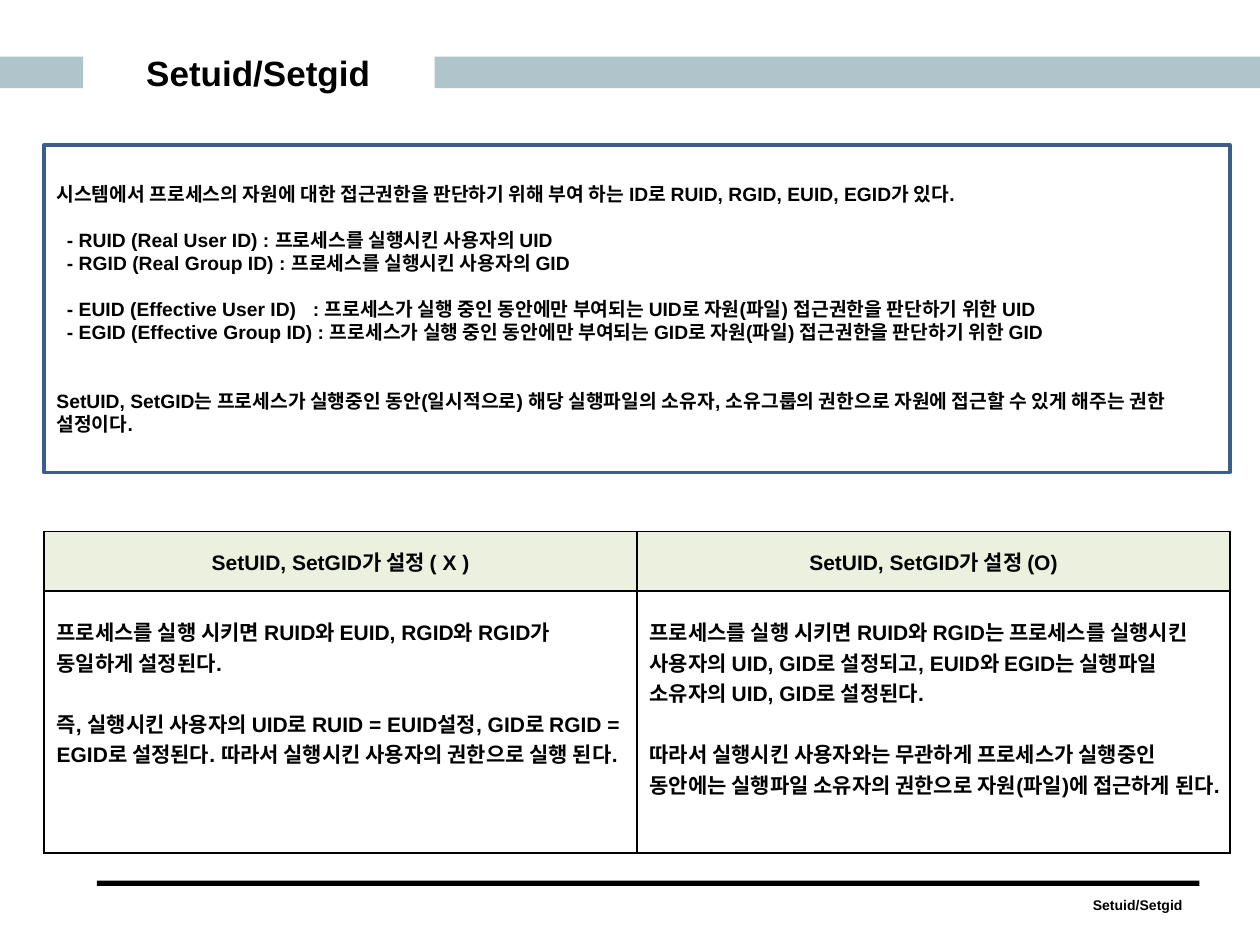
from lxml import etree
from pptx import Presentation
from pptx.dml.color import RGBColor
from pptx.enum.shapes import MSO_SHAPE
from pptx.enum.text import MSO_ANCHOR, PP_ALIGN
from pptx.oxml.ns import qn
from pptx.util import Pt

TITLE = "Setuid/Setgid"
BLACK, BAND, FRAME, HEADER = "000000", "AFC5CB", "3A5F8C", "EBF1DE"
DEFINITIONS = [
    ("시스템에서 프로세스의 자원에 대한 접근권한을 판단하기 위해 부여 하는 ID로 RUID, RGID, EUID, EGID가 있다.", 0, 0),
    ("- RUID (Real User ID) : 프로세스를 실행시킨 사용자의 UID", 6, 13),
    ("- RGID (Real Group ID) : 프로세스를 실행시킨 사용자의 GID", 6, 0),
    ("- EUID (Effective User ID)\t: 프로세스가 실행 중인 동안에만 부여되는 UID로 자원(파일) 접근권한을 판단하기 위한 UID", 6, 13),
    ("- EGID (Effective Group ID) : 프로세스가 실행 중인 동안에만 부여되는 GID로 자원(파일) 접근권한을 판단하기 위한 GID", 6, 0),
    ("SetUID, SetGID는 프로세스가 실행중인 동안(일시적으로) 해당 실행파일의 소유자, 소유그룹의 권한으로 자원에 접근할 수 있게 해주는 권한 설정이다.", 0, 26),
]
COMPARISON = [
    ("SetUID, SetGID가 설정 ( X )", [
        "프로세스를 실행 시키면 RUID와 EUID, RGID와 RGID가 동일하게 설정된다.",
        "즉, 실행시킨 사용자의 UID로 RUID = EUID설정, GID로 RGID = EGID로 설정된다. 따라서 실행시킨 사용자의 권한으로 실행 된다."]),
    ("SetUID, SetGID가 설정 (O)", [
        "프로세스를 실행 시키면 RUID와 RGID는 프로세스를 실행시킨 사용자의 UID, GID로 설정되고, EUID와 EGID는 실행파일 소유자의 UID, GID로 설정된다.",
        "따라서 실행시킨 사용자와는 무관하게 프로세스가 실행중인 동안에는 실행파일 소유자의 권한으로 자원(파일)에 접근하게 된다."]),
]


def color(hex_value):
    """Turn a hex string into a colour."""
    return RGBColor.from_string(hex_value)


def write(frame, items, size, align=PP_ALIGN.LEFT):
    """Write (text, indent, space before) items as bold paragraphs."""
    for i, (text, indent, before) in enumerate(items):
        p = frame.add_paragraph() if i else frame.paragraphs[0]
        p.alignment, p.space_before = align, Pt(before)
        props = p._p.get_or_add_pPr()
        props.set("marL", str(Pt(indent)))
        if "\t" in text:
            tabs = etree.SubElement(props, qn("a:tabLst"))
            etree.SubElement(tabs, qn("a:tab"), pos=str(Pt(140.5)), algn="l")
        run = p.add_run()
        run.text = text
        font = run.font
        font.name, font.size, font.bold = "Arial", Pt(size), True
        font.color.rgb = color(BLACK)


def add_rect(slide, box, fill=None, line=None):
    """Add a plain rectangle with an optional fill and outline."""
    rect = slide.shapes.add_shape(MSO_SHAPE.RECTANGLE, *map(Pt, box))
    rect.shadow.inherit = False
    if fill:
        rect.fill.solid()
        rect.fill.fore_color.rgb = color(fill)
    else:
        rect.fill.background()
    if line:
        rect.line.color.rgb, rect.line.width = color(line), Pt(2)
    else:
        rect.line.fill.background()
    return rect


def add_label(slide, box, size):
    """Add the centred topic name."""
    frame = slide.shapes.add_textbox(*map(Pt, box)).text_frame
    frame.word_wrap = False
    frame.vertical_anchor = MSO_ANCHOR.MIDDLE
    write(frame, [(TITLE, 0, 0)], size, PP_ALIGN.CENTER)


def add_heading(slide, x, y, w, h):
    """Place the title in the gap of the coloured band."""
    gap_left, gap_right = x + 47.5, x + 248.4
    add_rect(slide, (x, y, gap_left - x, h), BAND)
    add_rect(slide, (gap_right, y, x + w - gap_right, h), BAND)
    add_label(slide, (x + 54, y - 6.5, 187.2, 31), 20)


def add_footer(slide, x, y, w):
    """Place the rule with the topic name under its right end."""
    add_rect(slide, (x, y, w, 3), BLACK)
    add_label(slide, (x + w - 70.5, y + 5, 70.5, 17.3), 8)


def add_definitions(slide, *box):
    """Place the framed definitions."""
    frame = add_rect(slide, box, line=FRAME).text_frame
    frame.word_wrap = True
    frame.vertical_anchor = MSO_ANCHOR.MIDDLE
    write(frame, DEFINITIONS, 11)


def style_cell(cell, fill):
    """Give a cell black borders and a fill or none."""
    props = cell._tc.get_or_add_tcPr()
    for side in ("lnL", "lnR", "lnT", "lnB"):
        border = etree.SubElement(props, qn(f"a:{side}"), w=str(Pt(1)))
        solid = etree.SubElement(border, qn("a:solidFill"))
        etree.SubElement(solid, qn("a:srgbClr"), val=BLACK)
    if fill:
        cell.fill.solid()
        cell.fill.fore_color.rgb = color(fill)
    else:
        cell.fill.background()


def add_comparison(slide, x, y, w, h):
    """Place the two-column comparison table."""
    header_height = 34
    table = slide.shapes.add_table(2, 2, Pt(x), Pt(y), Pt(w), Pt(h)).table
    table.rows[0].height, table.rows[1].height = Pt(header_height), Pt(h - header_height)
    for col, (heading, paragraphs) in enumerate(COMPARISON):
        table.columns[col].width = Pt(w / 2)
        head, body = table.cell(0, col), table.cell(1, col)
        style_cell(head, HEADER)
        style_cell(body, None)
        head.vertical_anchor, body.vertical_anchor = MSO_ANCHOR.MIDDLE, MSO_ANCHOR.TOP
        body.margin_top = Pt(14.5)
        write(head.text_frame, [(heading, 0, 0)], 12, PP_ALIGN.CENTER)
        items = [(text, 0, 17.4 * i) for i, text in enumerate(paragraphs)]
        write(body.text_frame, items, 12)


prs = Presentation()
prs.slide_width, prs.slide_height = Pt(720), Pt(540)
slide = prs.slides.add_slide(prs.slide_layouts[6])
add_heading(slide, 0, 32.4, 720, 18)
add_footer(slide, 55.4, 503.3, 630)
add_definitions(slide, 25.2, 82.8, 677.6, 187.2)
add_comparison(slide, 25.2, 303.8, 677.6, 183.8)
prs.save("out.pptx")
